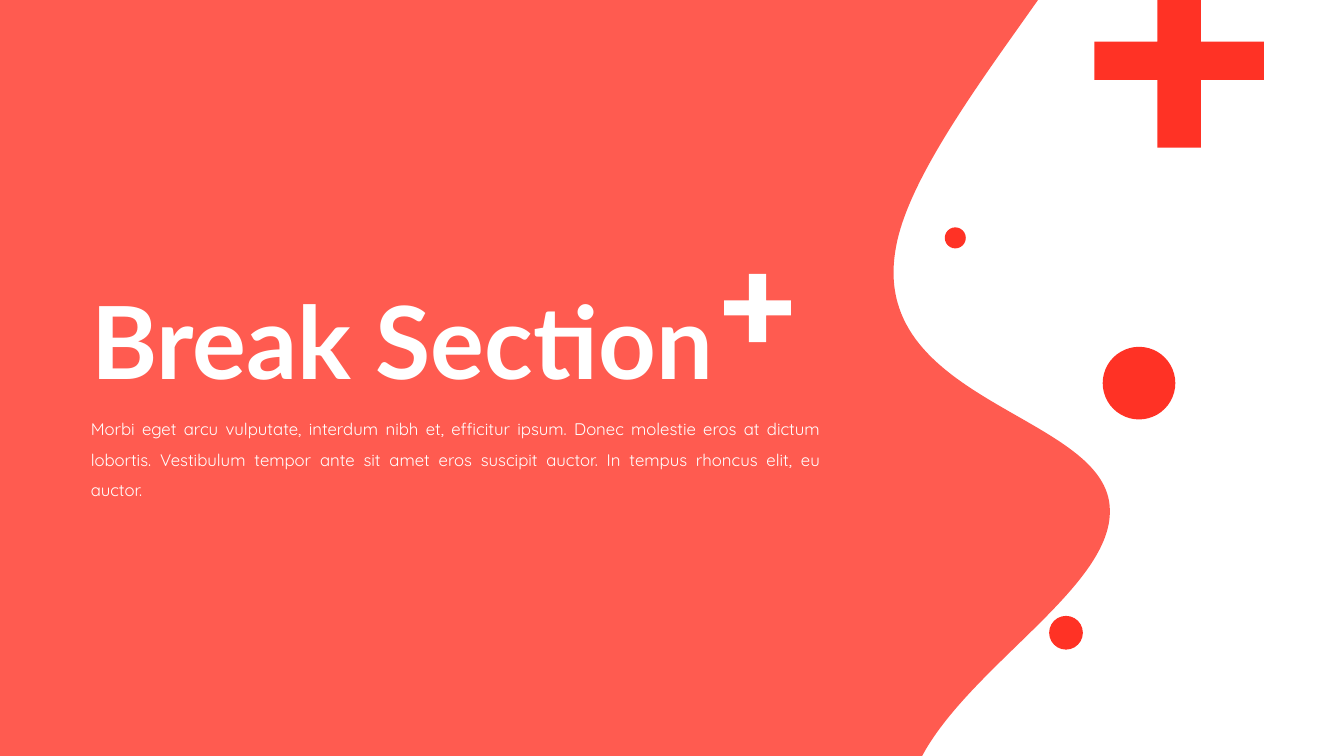
from dataclasses import dataclass

from lxml import etree
from pptx import Presentation
from pptx.dml.color import RGBColor
from pptx.enum import shapes, text
from pptx.oxml.ns import qn
from pptx.util import Cm, Pt


@dataclass(frozen=True)
class Theme:
    red: RGBColor = RGBColor(0xFF, 0x32, 0x25)
    white: RGBColor = RGBColor(0xFF, 0xFF, 0xFF)
    title_font: str = "Lato"
    body_font: str = "Quicksand"
    title_size: Pt = Pt(72)
    body_size: Pt = Pt(12)


THEME = Theme()
SLIDE_WIDTH, SLIDE_HEIGHT = 33.87, 19.05  # centimetres

# Wave edge: each curve (two controls, end) continues from the one before
WAVE_TOP = (26.16, 0)
WAVE_START = (25.53, 0.89)
WAVE_CURVES = [
    ((24.03, 3.0), (22.76, 4.93), (22.56, 6.35)),
    ((21.97, 10.19), (27.94, 10.44), (27.97, 12.85)),
    ((28.02, 14.73), (24.66, 16.66), (23.34, 18.87)),
]
WAVE_BOTTOM = (23.24, SLIDE_HEIGHT)

# Dots: left, top, diameter
DOTS = [(27.79, 8.74, 1.83), (26.44, 15.52, 0.85), (23.81, 5.73, 0.53)]


def paint(shape, color, opacity=None):
    shape.shadow.inherit = False
    shape.fill.solid()
    shape.fill.fore_color.rgb = color
    shape.line.fill.background()
    if opacity is not None:
        color_node = shape.element.spPr.find(qn("a:solidFill"))[0]
        etree.SubElement(color_node, qn("a:alpha"), val=str(opacity * 1000))


def add_outline(page, points, color, opacity=None):
    corners = [(Cm(x), Cm(y)) for x, y in points]
    builder = page.shapes.build_freeform(*corners[0])
    builder.add_line_segments(corners[1:], close=True)
    outline = builder.convert_to_shape()
    paint(outline, color, opacity)
    return outline


def bend(segment, controls):
    """Turn a straight segment into a cubic curve with the two controls."""
    curve = etree.Element(qn("a:cubicBezTo"))
    for x, y in controls:
        etree.SubElement(curve, qn("a:pt"), x=str(int(Cm(x))), y=str(int(Cm(y))))
    segment.getparent().replace(segment, curve)
    curve.append(segment[0])


def add_wave(page):
    ends = [end for _, _, end in WAVE_CURVES]
    wave = add_outline(page, [(0, 0), WAVE_TOP, WAVE_START, *ends, WAVE_BOTTOM,
                              (0, SLIDE_HEIGHT)], THEME.red, opacity=80)
    segments = list(wave.element.iter(qn("a:lnTo")))
    # The first two segments stay straight
    for segment, (first, second, _) in zip(segments[2:], WAVE_CURVES):
        bend(segment, (first, second))


def add_plus(page, left, top, width, height, color):
    bar_x, bar_y = width * 0.256, height * 0.22
    x1, x2 = left + (width - bar_x) / 2, left + (width + bar_x) / 2
    y1, y2 = top + (height - bar_y) / 2, top + (height + bar_y) / 2
    right, bottom = left + width, top + height
    add_outline(page, [
        (x1, top), (x2, top), (x2, y1), (right, y1), (right, y2), (x2, y2),
        (x2, bottom), (x1, bottom), (x1, y2), (left, y2), (left, y1), (x1, y1),
    ], color)


def add_dot(page, left, top, diameter):
    dot = page.shapes.add_shape(shapes.MSO_SHAPE.OVAL, Cm(left), Cm(top),
                                Cm(diameter), Cm(diameter))
    paint(dot, THEME.red)


def write(box, words, font_name, size, align, spacing, bold=False):
    frame = box.text_frame
    frame.text = words
    frame.word_wrap = True
    para = frame.paragraphs[0]
    para.alignment = align
    para.line_spacing = spacing
    para.font.name = font_name
    para.font.size = size
    para.font.bold = bold
    para.font.color.rgb = THEME.white


def add_body(page, words):
    box = page.shapes.add_textbox(Cm(2.04), Cm(10.18), Cm(18.9), Cm(1.8))
    write(box, words, THEME.body_font, THEME.body_size,
          text.PP_ALIGN.JUSTIFY, 1.5)
    box.text_frame.auto_size = text.MSO_AUTO_SIZE.SHAPE_TO_FIT_TEXT


def set_title(page, words):
    title = page.shapes.title
    title.left, title.top = Cm(2.04), Cm(6.91)
    title.width, title.height = Cm(22.12), Cm(3.68)
    write(title, words, THEME.title_font, THEME.title_size,
          text.PP_ALIGN.LEFT, 0.9, bold=True)
    title.text_frame.auto_size = text.MSO_AUTO_SIZE.NONE
    title.text_frame.vertical_anchor = text.MSO_ANCHOR.MIDDLE
    # Bring the title in front of the wave
    title.element.getparent().append(title.element)


def main():
    deck = Presentation()
    deck.slide_width, deck.slide_height = Cm(SLIDE_WIDTH), Cm(SLIDE_HEIGHT)
    page = deck.slides.add_slide(deck.slide_layouts[5])  # Title Only
    page.background.fill.solid()
    page.background.fill.fore_color.rgb = THEME.white

    # Red panel and text
    add_wave(page)
    add_plus(page, 18.25, 6.9, 1.68, 1.72, THEME.white)
    add_body(page, "Morbi eget arcu vulputate, interdum nibh et, efficitur ipsum. "
                   "Donec molestie eros at dictum lobortis. Vestibulum tempor ante "
                   "sit amet eros suscipit auctor. In tempus rhoncus elit, eu auctor.")

    # Decorations on the white side
    for dot in DOTS:
        add_dot(page, *dot)
    add_plus(page, 27.58, -0.66, 4.27, 4.38, THEME.red)

    set_title(page, "Break Section")
    deck.save("out.pptx")


if __name__ == "__main__":
    main()
